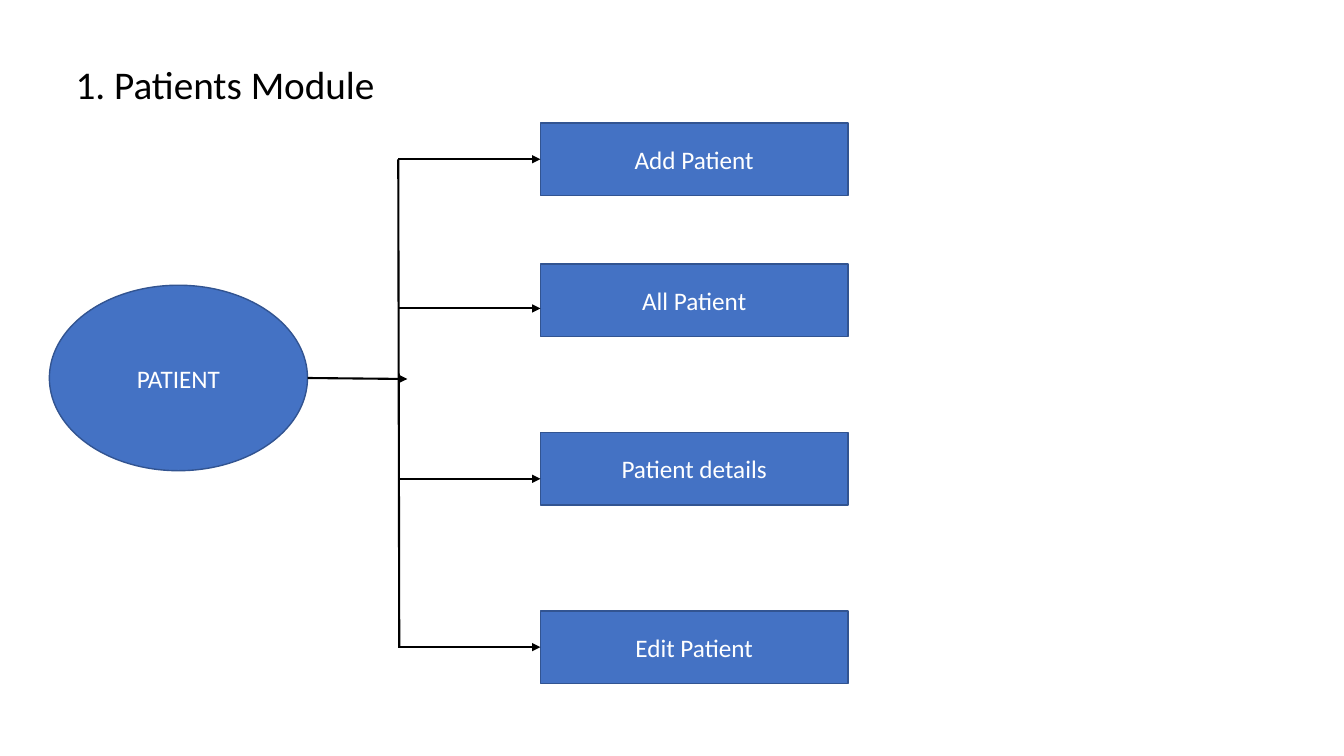
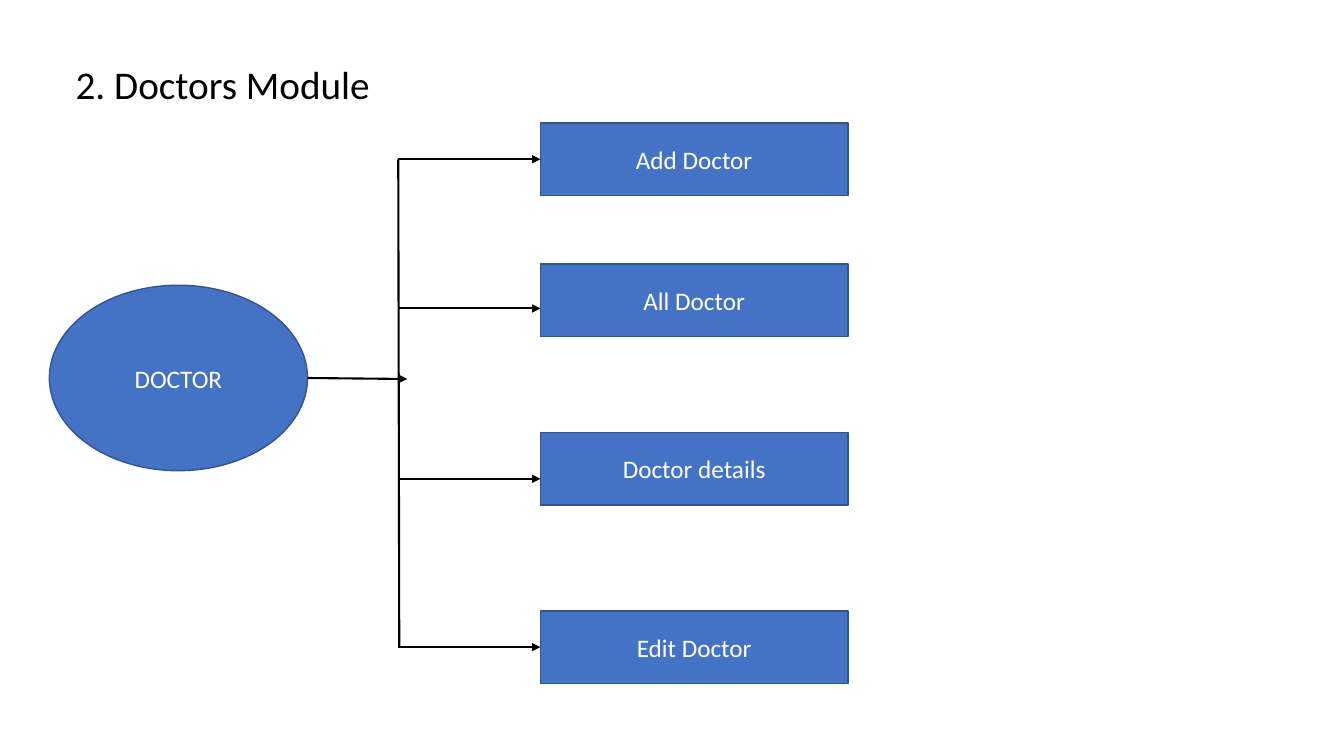
from dataclasses import dataclass

from lxml.etree import SubElement
from pptx import Presentation
from pptx.dml.color import RGBColor
from pptx.enum.shapes import MSO_CONNECTOR, MSO_SHAPE
from pptx.enum.text import MSO_ANCHOR, MSO_AUTO_SIZE, PP_ALIGN
from pptx.oxml.ns import qn
from pptx.util import Pt

# Content
MODULES = [
    ("1. Patients Module", "PATIENT",
     ["Add Patient", "All Patient", "Patient details", "Edit Patient"]),
    ("2. Doctors Module", "DOCTOR",
     ["Add Doctor", "All Doctor", "Doctor details", "Edit Doctor"]),
]

# Layout in px, 100 to the inch
PX = 9144
SIZE = (1333, 750)
TITLE = (65, 60, 416, 62)
HUB = (49, 283, 256, 184)
BOX_X, BOX_W, BOX_H = 536, 305, 72
BOX_TOPS = [122, 262, 429, 606]
DROPS = [0, 8, 10, 0]  # arrow offset below each box's middle
TRUNK_X, TIP_X = 395, 404


@dataclass(frozen=True)
class Theme:
    fill: RGBColor = RGBColor.from_string("4472C4")
    edge: RGBColor = RGBColor.from_string("325491")
    ink: RGBColor = RGBColor.from_string("000000")
    light: RGBColor = RGBColor.from_string("FFFFFF")
    font: str = "Calibri"
    title: int = 28
    label: int = 18
    border: float = 1
    stroke: float = 1.5


THEME = Theme()


def px(*vals):
    return [val * PX for val in vals]


def write(shape, text, size=THEME.label, color=THEME.light,
          align=PP_ALIGN.CENTER, anchor=MSO_ANCHOR.MIDDLE, lead=None):
    frame = shape.text_frame
    frame.word_wrap = True
    frame.auto_size = MSO_AUTO_SIZE.NONE
    frame.vertical_anchor = anchor
    para = frame.paragraphs[0]
    para.alignment = align
    para.line_spacing = lead
    run = para.add_run()
    run.text = text
    run.font.name = THEME.font
    run.font.size = Pt(size)
    run.font.color.rgb = color


def add_node(slide, kind, area, text):
    node = slide.shapes.add_shape(kind, *px(*area))
    node.shadow.inherit = False
    node.fill.solid()
    node.fill.fore_color.rgb = THEME.fill
    node.line.color.rgb = THEME.edge
    node.line.width = Pt(THEME.border)
    write(node, text)
    return node


def add_line(slide, start, end, arrow=True):
    line = slide.shapes.add_connector(
        MSO_CONNECTOR.STRAIGHT, *px(*start, *end))
    line.line.color.rgb = THEME.ink
    line.line.width = Pt(THEME.stroke)
    if arrow:
        SubElement(line.line._get_or_add_ln(), qn("a:tailEnd"), type="triangle")
    SubElement(line._element.spPr, qn("a:effectLst"))
    return line


def add_title(slide, text):
    title = slide.shapes.title
    title.left, title.top, title.width, title.height = px(*TITLE)
    write(title, text, size=THEME.title, color=THEME.ink,
          align=PP_ALIGN.LEFT, anchor=MSO_ANCHOR.TOP, lead=0.9)


def add_module(deck, heading, hub, tasks):
    slide = deck.slides.add_slide(deck.slide_layouts.get_by_name("Title Only"))
    add_title(slide, heading)

    # Hub and its arrow to the trunk
    add_node(slide, MSO_SHAPE.OVAL, HUB, hub)
    left, top, width, height = HUB
    mid = top + height // 2
    add_line(slide, (left + width, mid), (TIP_X, mid + 1))

    # Task boxes, each with a branch from the trunk
    for task, y, drop in zip(tasks, BOX_TOPS, DROPS):
        box = add_node(slide, MSO_SHAPE.RECTANGLE, (BOX_X, y, BOX_W, BOX_H), task)
        level = y + BOX_H // 2 + drop
        branch = add_line(slide, (TRUNK_X, level), (BOX_X, level))
        if drop == 0:
            branch.end_connect(box, 1)

    # Trunk from the first branch to the last
    first, last = (BOX_TOPS[i] + BOX_H // 2 for i in (0, -1))
    add_line(slide, (TRUNK_X, first), (TRUNK_X + 1, last), arrow=False)


def main():
    deck = Presentation()
    deck.slide_width, deck.slide_height = px(*SIZE)
    for module in MODULES:
        add_module(deck, *module)
    deck.save("out.pptx")


if __name__ == "__main__":
    main()
